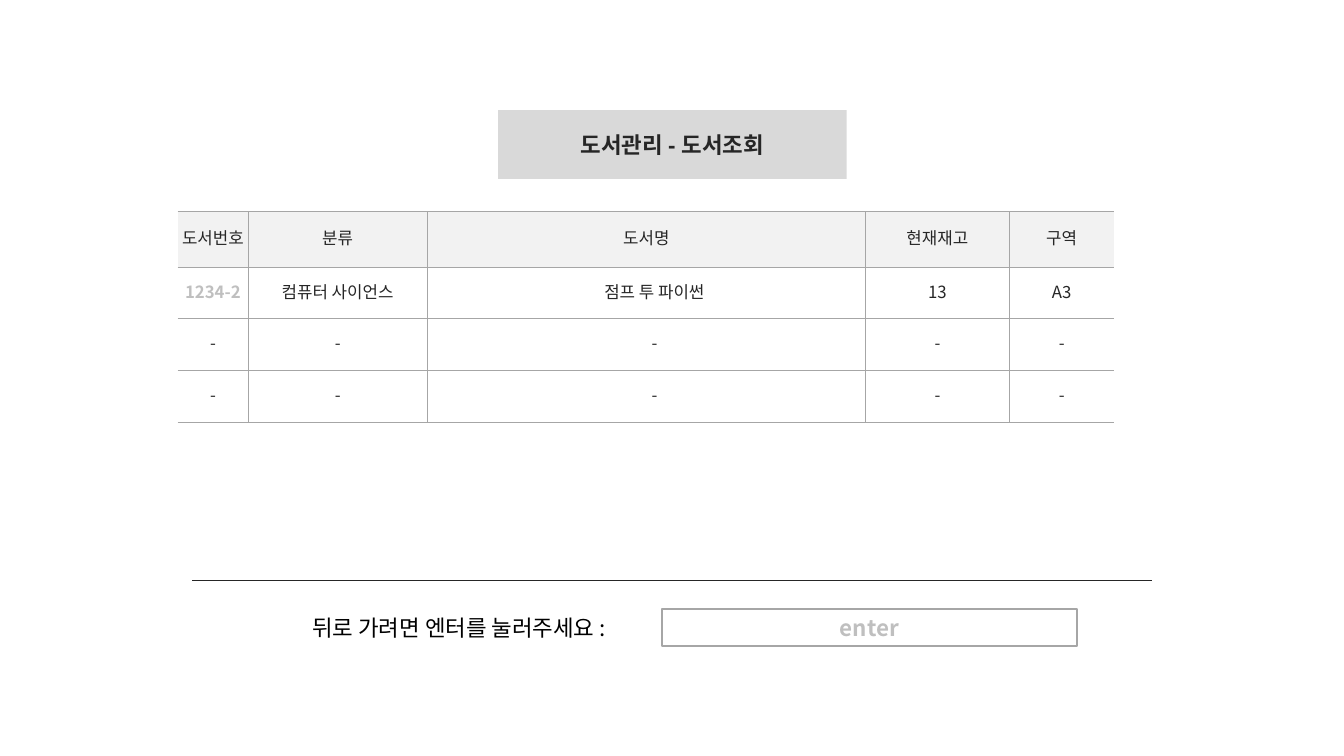
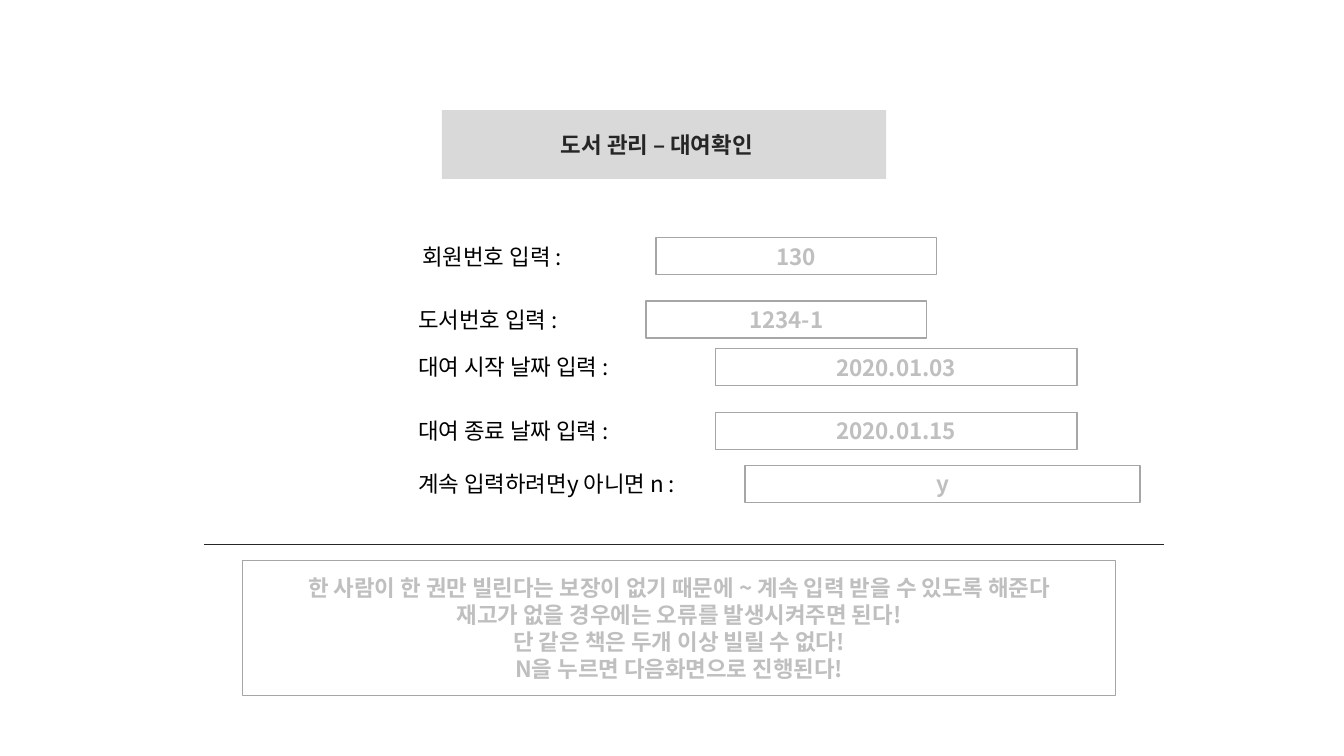
from lxml.etree import SubElement
from pptx import Presentation
from pptx.dml.color import RGBColor
from pptx.enum.shapes import MSO_CONNECTOR as Connector, MSO_SHAPE as Shape
from pptx.enum.text import MSO_ANCHOR as Anchor, PP_ALIGN as Align
from pptx.oxml.ns import qn
from pptx.util import Inches, Pt

WHITE = RGBColor(0xFF, 0xFF, 0xFF)
BLACK = RGBColor(0x00, 0x00, 0x00)
INK = RGBColor(0x26, 0x26, 0x26)
HINT = RGBColor(0xBF, 0xBF, 0xBF)
RULE = RGBColor(0xA6, 0xA6, 0xA6)
BAND = RGBColor(0xD9, 0xD9, 0xD9)
HEADER = RGBColor(0xF2, 0xF2, 0xF2)

FONT = "Noto Sans CJK KR"
TITLE_FONT = "Arial"
COLUMNS, ROWS = 160, 90
FIELD_HEIGHT = 4.4


def write(frame, text, size=16, color=INK, bold=False, font=FONT, align=Align.CENTER):
    for index, line in enumerate(text.split("\n")):
        para = frame.add_paragraph() if index else frame.paragraphs[0]
        para.alignment = align
        para.line_spacing = Pt(size * 1.2)
        span = para.add_run()
        span.text = line
        span.font.size = Pt(size)
        span.font.bold = bold
        span.font.color.rgb = color
        span.font.name = font
        SubElement(span.font._element, qn("a:ea"), typeface=FONT)


class Screen:
    """Builds the screens of the library program on a grid of 160 by 90 cells."""

    def __init__(self):
        self.deck = Presentation()
        self.deck.slide_width, self.deck.slide_height = Inches(13.33), Inches(7.5)
        self.page = None

    def add_page(self):
        self.page = self.deck.slides.add_slide(self.deck.slide_layouts[6])

    def x(self, columns):
        return round(self.deck.slide_width * columns / COLUMNS)

    def y(self, rows):
        return round(self.deck.slide_height * rows / ROWS)

    def area(self, left, top, width, height):
        return self.x(left), self.y(top), self.x(width), self.y(height)

    def box(self, area, text, fill=WHITE, line=None, **style):
        box = self.page.shapes.add_shape(Shape.RECTANGLE, *self.area(*area))
        box.shadow.inherit = False
        box.fill.solid()
        box.fill.fore_color.rgb = fill
        if line is None:
            box.line.fill.background()
        else:
            box.line.color.rgb = line
            box.line.width = Pt(1)
        frame = box.text_frame
        frame.word_wrap = True
        frame.vertical_anchor = Anchor.MIDDLE
        write(frame, text, **style)
        return box

    def title(self, left, width, text, right_inset=0.1):
        band = self.box((left, 13.1, width, 8.2), text, BAND, bold=True, font=TITLE_FONT)
        band.text_frame.margin_right = Inches(right_inset)

    def hint(self, area, text):
        self.box(area, text, line=RULE, color=HINT, bold=True)

    def field(self, label_left, top, label, left, width, value):
        area = self.area(label_left, top, left - label_left, FIELD_HEIGHT)
        frame = self.page.shapes.add_textbox(*area).text_frame
        frame.word_wrap = True
        write(frame, label, color=BLACK, align=Align.LEFT)
        self.hint((left, top, width, FIELD_HEIGHT), value)

    def divider(self, left, top, width=114.3):
        line = self.page.shapes.add_connector(
            Connector.STRAIGHT, self.x(left), self.y(top), self.x(left + width), self.y(top))
        line.line.color.rgb = INK
        line.line.width = Pt(0.5)
        SubElement(line._element.spPr, qn("a:effectLst"))

    def border(self, cell, sides, hidden):
        for side in sides:
            edge = SubElement(cell._tc.get_or_add_tcPr(), qn(f"a:ln{side}"), w=str(Pt(0.75)))
            if side in hidden:
                SubElement(edge, qn("a:noFill"))
            else:
                paint = SubElement(edge, qn("a:solidFill"))
                SubElement(paint, qn("a:srgbClr"), val=str(RULE))

    def table(self, left, top, widths, heights, rows):
        area = self.area(left, top, sum(widths), sum(heights))
        table = self.page.shapes.add_table(len(rows), len(widths), *area).table
        table.first_row = table.horz_banding = False
        for column, width in zip(table.columns, widths):
            column.width = self.x(width)
        for row, height in zip(table.rows, heights):
            row.height = self.y(height)
        last = len(widths) - 1
        for r, values in enumerate(rows):
            for c, value in enumerate(values):
                cell = table.cell(r, c)
                cell.margin_left = Inches(0.16 if r and c == 2 else 0)
                cell.margin_right = cell.margin_top = cell.margin_bottom = 0
                cell.vertical_anchor = Anchor.MIDDLE
                self.border(cell, "LRTB", {0: "L", last: "R"}.get(c, ""))
                cell.fill.solid()
                cell.fill.fore_color.rgb = WHITE if r else HEADER
                sample = (r, c) == (1, 0)
                write(cell.text_frame, value, size=12,
                      color=HINT if sample else INK, bold=sample)


def build_search(screen):
    screen.add_page()
    screen.divider(22.9, 69.1)
    screen.field(36, 72.5, "뒤로 가려면 엔터를 눌러주세요 :", 78.8, 49.4, "enter")
    screen.title(59.3, 41.5, "도서관리 - 도서조회")
    screen.table(21.15, 25.2, [8.4, 21.3, 52.2, 17.1, 12.5], [6.6] + [6.15] * 3, [
        ["도서번호", "분류", "도서명", "현재재고", "구역"],
        ["1234-2", "컴퓨터 사이언스", "점프 투 파이썬", "13", "A3"],
        *[["-"] * 5] * 2,
    ])


def build_loan(screen):
    screen.add_page()
    screen.title(52.6, 52.9, "도서 관리 – 대여확인", right_inset=0.24)
    for field in (
        (49.1, 28.3, "회원번호 입력 :", 78.1, 33.4, "130"),
        (48.6, 35.85, "도서번호 입력 :", 76.9, 33.4, "1234-1"),
        (48.6, 41.5, "대여 시작 날짜 입력 :", 85.2, 43, "2020.01.03"),
        (48.6, 49.1, "대여 종료 날짜 입력 :", 85.2, 43, "2020.01.15"),
        (48.6, 55.4, "계속 입력하려면y 아니면 n :", 88.7, 47, "y"),
    ):
        screen.field(*field)
    screen.divider(24.3, 64.8)
    screen.hint((28.9, 66.7, 103.9, 16.1),
                "한 사람이 한 권만 빌린다는 보장이 없기 때문에 ~ 계속 입력 받을 수 있도록 해준다\n"
                "재고가 없을 경우에는 오류를 발생시켜주면 된다!\n"
                "단 같은 책은 두개 이상 빌릴 수 없다!\n"
                "N을 누르면 다음화면으로 진행된다!")


def main():
    screen = Screen()
    build_search(screen)
    build_loan(screen)
    screen.deck.save("out.pptx")


if __name__ == "__main__":
    main()
